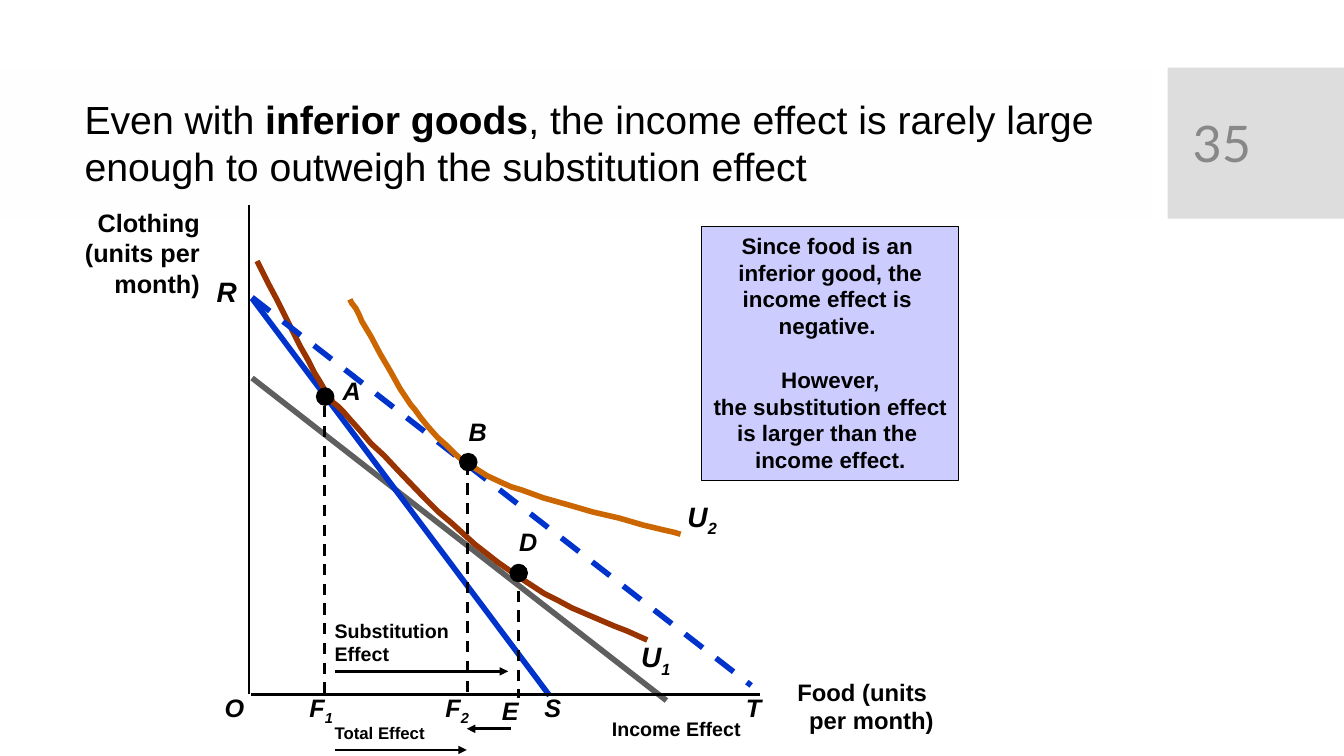
from pptx import Presentation
from pptx.dml.color import RGBColor
from pptx.enum.dml import MSO_LINE_DASH_STYLE as Dash
from pptx.enum.shapes import MSO_CONNECTOR as Connector, MSO_SHAPE as Preset
from pptx.enum.text import MSO_ANCHOR as Anchor, PP_ALIGN as Align
from pptx.oxml.ns import qn
from pptx.util import Emu, Pt
from lxml.etree import SubElement

PX = 9144  # 100 px to the inch
BLACK, BLUE, GRAY = "000000", "0033CC", "5F5F5F"
AXIS_Y = 689

U1_CURVE = [
    (255, 259), (257, 263), (260, 269), (266, 281), (274, 296), (282, 312),
    (290, 328), (298, 344), (306, 358), (312, 370), (317, 378), (321, 385),
    (324, 390), (328, 394), (330, 399), (335, 403), (341, 409), (348, 417),
    (357, 427), (368, 440), (381, 452), (395, 467), (422, 495), (435, 508),
    (448, 519), (471, 540), (494, 558), (517, 574), (540, 589), (554, 596),
    (567, 603), (595, 615), (609, 621), (622, 626), (633, 631), (642, 635)]
U2_CURVE = [
    (347, 297), (349, 301), (353, 306), (356, 312), (359, 319), (368, 334),
    (377, 351), (387, 368), (397, 386), (407, 401), (412, 407), (417, 414),
    (425, 424), (434, 434), (443, 442), (451, 450), (460, 458), (472, 465),
    (483, 472), (498, 479), (507, 483), (517, 486), (539, 494), (564, 501),
    (588, 508), (614, 514), (638, 521), (659, 526), (668, 528), (675, 530)]


def px(*lengths):
    return [Emu(length * PX) for length in lengths]


def color(hex_text):
    return RGBColor.from_string(hex_text)


def format_line(line, hex_text, width):
    line.color.rgb = color(hex_text)
    line.width = Pt(width)


def format_span(span, size, font="Arial", hex_text=BLACK, bold=True, italic=False):
    span.font.size = Pt(size)
    span.font.name = font
    span.font.color.rgb = color(hex_text)
    span.font.bold = bold
    span.font.italic = italic


def add_block(page, left, top, width, height, fill, border=None, preset=Preset.RECTANGLE):
    block = page.shapes.add_shape(preset, *px(left, top, width, height))
    block.shadow.inherit = False
    block.fill.solid()
    block.fill.fore_color.rgb = color(fill)
    if border:
        format_line(block.line, border, 1)
    else:
        block.line.fill.background()
    return block


def add_line(page, start, end, hex_text=BLACK, width=2, dashed=False, arrow=False):
    line = page.shapes.add_connector(Connector.STRAIGHT, *px(*start, *end))
    format_line(line.line, hex_text, width)
    if dashed:
        line.line.dash_style = Dash.DASH
    properties = line._element.spPr
    if arrow:
        SubElement(properties.find(qn("a:ln")), qn("a:tailEnd"), type="triangle")
    SubElement(properties, qn("a:effectLst"))


def add_curve(page, points, hex_text):
    builder = page.shapes.build_freeform(*points[0], scale=PX)
    builder.add_line_segments(points[1:], close=False)
    curve = builder.convert_to_shape()
    curve.shadow.inherit = False
    curve.fill.background()
    format_line(curve.line, hex_text, 4)


def add_box(page, left, top, width, height):
    box = page.shapes.add_textbox(*px(left, top, width, height))
    box.text_frame.word_wrap = True
    return box.text_frame


def fill_text(frame, text, size, align):
    frame.text = text
    for para in frame.paragraphs:
        para.alignment = align
        for span in para.runs:
            format_span(span, size)


def add_caption(page, left, top, width, height, text, size, align=Align.LEFT):
    frame = add_box(page, left, top, width, height)
    if align == Align.RIGHT:
        frame.margin_left = 0
    else:
        frame.margin_right = 0
    fill_text(frame, text, size, align)


def add_symbol(page, left, top, letter, index="", size=18):
    """Bold italic letter with an optional subscript."""
    frame = add_box(page, left, top, 51, 40)
    frame.margin_right = 0
    para = frame.paragraphs[0]
    for text in filter(None, (letter, index)):
        span = para.add_run()
        span.text = text
        format_span(span, size, italic=True)
        if text == index:
            span.font._element.set("baseline", "-25000")


def add_point(page, left, top):
    add_block(page, left, top, 17, 17, BLACK, BLACK, Preset.OVAL)


def add_header(page):
    add_block(page, 0, 67, 1141, 150, "FEFEFE")
    add_block(page, 1158, 67, 175, 150, "DDDDDD")

    title = add_box(page, 74, 82, 1051, 118)
    title.vertical_anchor = Anchor.MIDDLE
    for text, bold in (
            ("Even with ", False), ("inferior goods", True),
            (", the income effect is rarely large enough to outweigh"
             " the substitution effect", False)):
        span = title.paragraphs[0].add_run()
        span.text = text
        format_span(span, 28, bold=bold)

    number = add_box(page, 1173, 82, 126, 119)
    number.vertical_anchor = Anchor.MIDDLE
    number.text = "35"
    format_span(number.paragraphs[0].runs[0], 36, "Lato", "888888", bold=False)


def add_diagram(page):
    # Budget lines, indifference curves and axes
    add_line(page, (250, 375), (661, 695), GRAY, 4)
    add_line(page, (250, 296), (545, 690), BLUE, 4)
    add_curve(page, U1_CURVE, "993300")
    add_line(page, (247, 203), (247, AXIS_Y))
    add_line(page, (249, AXIS_Y), (754, AXIS_Y))
    add_line(page, (250, 295), (745, 680), BLUE, 4, dashed=True)
    add_curve(page, U2_CURVE, "CC6600")

    # Chosen bundles A, D and B with their drop lines
    for left, top, drop_x, drop_top, drop_end in (
            (314, 385, 322, 403, 692), (506, 560, 514, 586, 692),
            (456, 450, 464, 460, 690)):
        add_point(page, left, top)
        add_line(page, (drop_x, drop_top), (drop_x, drop_end), dashed=True)

    # Effect arrows
    for start_x, end_x, y in ((332, 504, 666), (332, 463, 744), (507, 463, 723)):
        add_line(page, (start_x, y), (end_x, y), arrow=True)


def add_labels(page):
    # Letters along the axis, then at the points and curves
    for left, letter, index in (
            (213, "O", ""), (297, "F", "1"), (432, "F", "2"),
            (530, "S", ""), (730, "T", "")):
        add_symbol(page, left, 682, letter, index)
    for left, top, letter in (
            (488, 685, "E"), (330, 367, "A"), (455, 408, "B"), (505, 517, "D")):
        add_symbol(page, left, top, letter)
    for left, top, letter, index in (
            (205, 267, "R", ""), (626, 630, "U", "1"), (672, 491, "U", "2")):
        add_symbol(page, left, top, letter, index, size=20)

    # Axis titles and effect names
    add_caption(page, 73, 201, 135, 101, "Clothing\n(units per\nmonth)", 18, Align.RIGHT)
    add_caption(page, 780, 667, 156, 67, "Food (units \nper month)", 17, Align.RIGHT)
    add_caption(page, 322, 609, 134, 57, "Substitution\nEffect", 14)
    add_caption(page, 322, 712, 110, 30, "Total Effect", 12)
    add_caption(page, 597, 706, 148, 33, "Income Effect", 14)


def add_explanation(page):
    frame = add_block(page, 696, 225, 255, 252, "CCCCFF", BLACK).text_frame
    frame.word_wrap = True
    frame.vertical_anchor = Anchor.TOP
    lines = ["Since food is an ", "inferior good, the", "income effect is ",
             "negative. ", "However,", "the substitution effect",
             "is larger than the ", "income effect."]
    fill_text(frame, "\n".join(lines), 16, Align.CENTER)
    frame.paragraphs[lines.index("However,")].space_before = Pt(19)


def main():
    deck = Presentation()
    deck.slide_width, deck.slide_height = px(1333, 750)
    page = deck.slides.add_slide(deck.slide_layouts[6])
    add_header(page)
    add_diagram(page)
    add_explanation(page)
    add_labels(page)
    deck.save("out.pptx")


if __name__ == "__main__":
    main()
